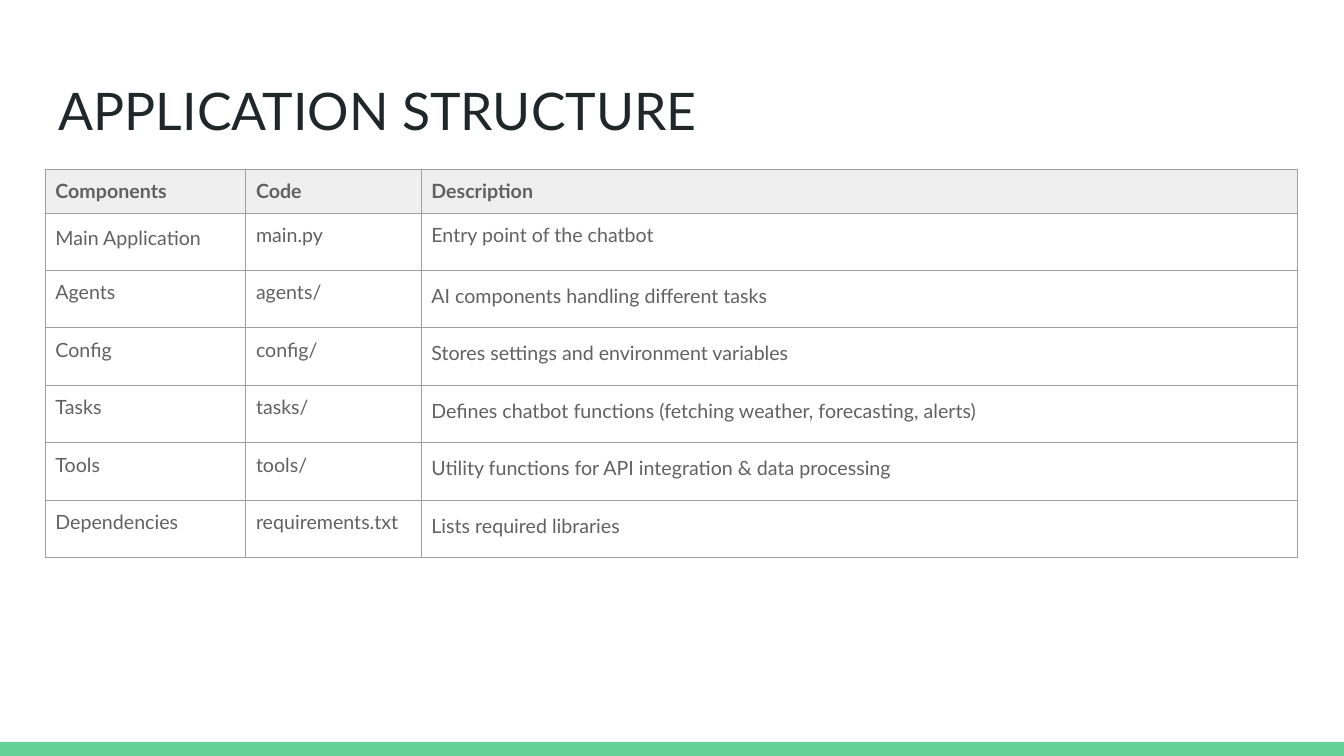
"""Build the application structure slide."""
from dataclasses import dataclass

from lxml import etree
from pptx import Presentation
from pptx.dml.color import RGBColor
from pptx.enum.shapes import MSO_SHAPE
from pptx.enum.text import MSO_ANCHOR, MSO_AUTO_SIZE, PP_ALIGN
from pptx.oxml.ns import qn
from pptx.slide import Slide
from pptx.table import _Cell
from pptx.text.text import Font
from pptx.util import Pt

RECT = MSO_SHAPE.RECTANGLE
TOP = MSO_ANCHOR.TOP
LEFT = PP_ALIGN.LEFT
NO_FIT = MSO_AUTO_SIZE.NONE

FACE = "Lato"
COLOURS = {"title": "202729", "text": "616161", "head": "EFEFEF",
           "grid": "9E9E9E", "band": "63D297"}
WIDE, HIGH = 960, 540
EDGE = 32.4
BAND = 10.08
COLS = (143.28, 125.28, 625.68)
HEAD_ROW, BODY_ROW = 30.24, 41.04


@dataclass
class Part:
    """One table row and the column whose text is spaced out."""
    texts: tuple[str, str, str]
    loose: int = 2
    head: bool = False


PARTS = (
    Part(("Components", "Code", "Description"), -1, True),
    Part(("Main Application", "main.py", "Entry point of the chatbot"), 0),
    Part(("Agents", "agents/", "AI components handling different tasks")),
    Part(("Config", "config/", "Stores settings and environment variables")),
    Part(("Tasks", "tasks/",
          "Defines chatbot functions (fetching weather, forecasting, alerts)")),
    Part(("Tools", "tools/",
          "Utility functions for API integration & data processing")),
    Part(("Dependencies", "requirements.txt", "Lists required libraries")),
)


def paint(name: str) -> RGBColor:
    """Return the named colour."""
    return RGBColor.from_string(COLOURS[name])


def style(font: Font, size: float, name: str, bold: bool = False) -> None:
    """Set face, size, colour and weight."""
    font.name, font.size, font.bold = FACE, Pt(size), bold
    font.color.rgb = paint(name)


def frame(cell: _Cell) -> None:
    """Draw a thin line on each side of a cell."""
    props = cell._tc.get_or_add_tcPr()
    for side in ("a:lnL", "a:lnR", "a:lnT", "a:lnB"):
        line = etree.SubElement(props, qn(side), w=str(Pt(0.75)))
        fill = etree.SubElement(line, qn("a:solidFill"))
        etree.SubElement(fill, qn("a:srgbClr"), val=COLOURS["grid"])


def fill_cell(cell: _Cell, text: str, head: bool, loose: bool) -> None:
    """Write and format one table cell."""
    cell.margin_left = cell.margin_right = Pt(7.2)
    cell.margin_top = cell.margin_bottom = Pt(7.2)
    cell.vertical_anchor = TOP
    frame(cell)
    if head:
        cell.fill.solid()
        cell.fill.fore_color.rgb = paint("head")
    else:
        cell.fill.background()
    para = cell.text_frame.paragraphs[0]
    para.text = text
    if loose:
        para.line_spacing = 1.15
        para.space_before = para.space_after = Pt(12)
    style(para.runs[0].font, 14, "text", head)


def add_band(slide: Slide) -> None:
    """Draw the band along the foot of the slide."""
    band = slide.shapes.add_shape(
        RECT, Pt(0), Pt(HIGH - BAND), Pt(WIDE), Pt(BAND))
    band.shadow.inherit = False
    band.fill.solid()
    band.fill.fore_color.rgb = paint("band")
    band.line.fill.background()


def set_title(slide: Slide, text: str) -> None:
    """Place and format the title."""
    title = slide.shapes.title
    title.left, title.top = Pt(EDGE), Pt(46.8)
    title.width, title.height = Pt(sum(COLS)), Pt(59.76)
    box = title.text_frame
    box.text = text
    box.word_wrap = True
    box.auto_size = NO_FIT
    box.vertical_anchor = TOP
    box.margin_left = box.margin_right = Pt(9.6)
    box.margin_top = box.margin_bottom = Pt(9.6)
    para = box.paragraphs[0]
    para.alignment = LEFT
    style(para.runs[0].font, 37, "title")


def add_grid(slide: Slide) -> None:
    """Add the table of parts."""
    high = HEAD_ROW + BODY_ROW * (len(PARTS) - 1)
    grid = slide.shapes.add_table(
        len(PARTS), len(COLS), Pt(EDGE), Pt(120.96),
        Pt(sum(COLS)), Pt(high)).table
    grid.first_row = grid.horz_banding = False
    for col, width in zip(grid.columns, COLS):
        col.width = Pt(width)
    for row, part in zip(grid.rows, PARTS):
        row.height = Pt(HEAD_ROW if part.head else BODY_ROW)
        for i, (cell, text) in enumerate(zip(row.cells, part.texts)):
            fill_cell(cell, text, part.head, i == part.loose)


def main() -> None:
    """Build and save the deck."""
    deck = Presentation()
    deck.slide_width, deck.slide_height = Pt(WIDE), Pt(HIGH)
    slide = deck.slides.add_slide(deck.slide_layouts.get_by_name("Title Only"))
    add_band(slide)
    set_title(slide, "APPLICATION STRUCTURE")
    add_grid(slide)
    deck.save("out.pptx")


if __name__ == "__main__":
    main()
